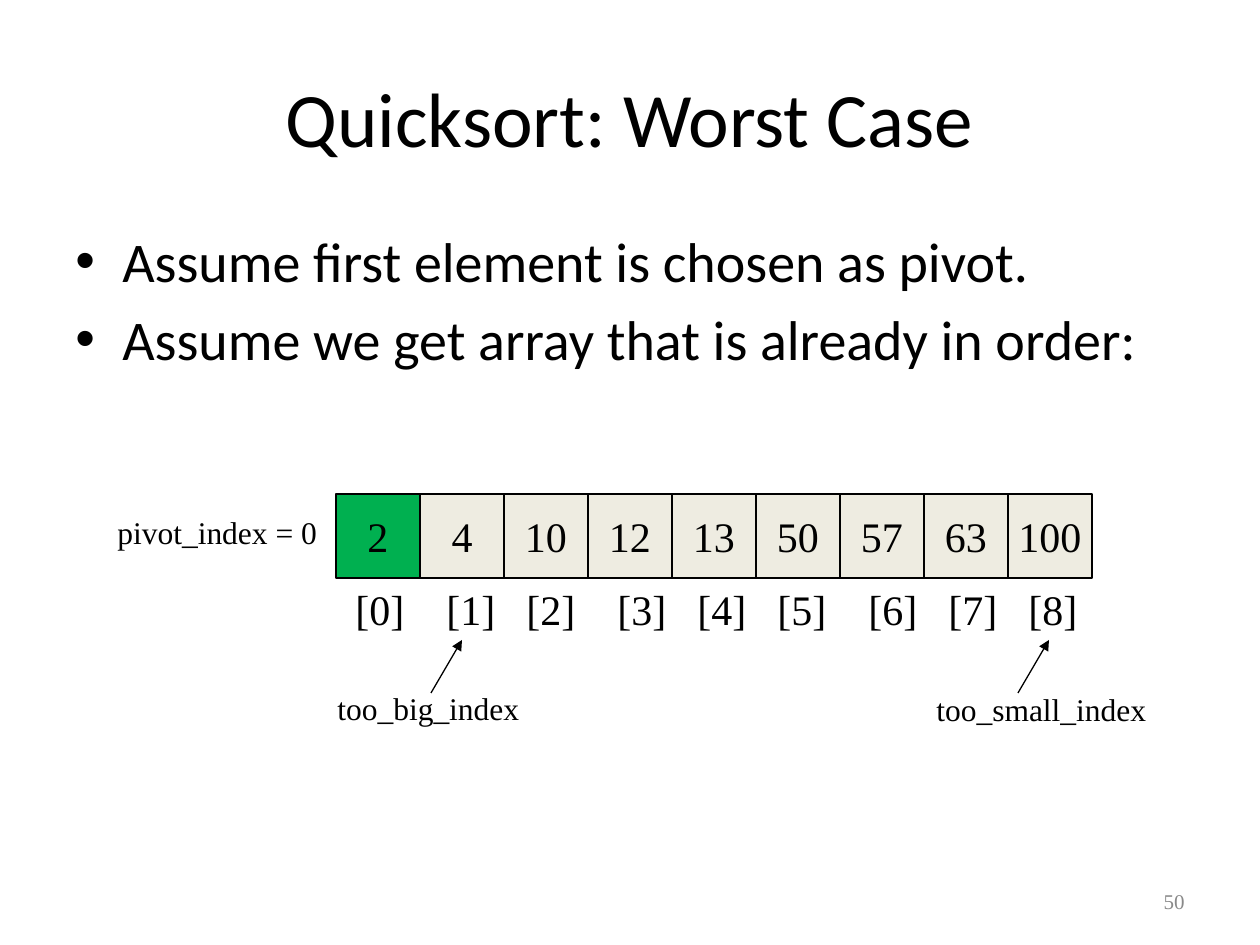
"""Build the slide on the worst case of quicksort."""
import pptx
import pptx.util
import pptx.dml.color
import pptx.enum.shapes
import pptx.enum.text
import pptx.oxml.ns
import lxml.etree

PX = 914400 // 126
COLORS = {"black": "000000", "pivot": "00B050", "cell": "EEECE1", "number": "898989"}
ALIGN = pptx.enum.text.PP_ALIGN
ANCHOR = pptx.enum.text.MSO_ANCHOR
SERIF = "Times New Roman"
qn = pptx.oxml.ns.qn


def rgb(name):
    return pptx.dml.color.RGBColor.from_string(COLORS[name])


def put_text(sp, lines, size, font=SERIF, color="black", align=ALIGN.LEFT, anchor=ANCHOR.TOP, wrap=True):
    tf = sp.text_frame
    tf.word_wrap = wrap
    tf.vertical_anchor = anchor
    tf.text = "\n".join(lines)
    for p in tf.paragraphs:
        p.alignment = align
        p.font.size = pptx.util.Pt(size)
        p.font.name = font
        p.font.color.rgb = rgb(color)
    return tf.paragraphs


prs = pptx.Presentation()
prs.slide_width, prs.slide_height = 1260 * PX, 945 * PX
s = prs.slides.add_slide(prs.slide_layouts[6])

sp = s.shapes.add_textbox(63 * PX, 38 * PX, 1134 * PX, 157 * PX)
put_text(sp, ["Quicksort: Worst Case"], 44, "Calibri", align=ALIGN.CENTER, anchor=ANCHOR.MIDDLE)

sp = s.shapes.add_textbox(63 * PX, 220 * PX, 1134 * PX, 624 * PX)
bullets = ["Assume first element is chosen as pivot.", "Assume we get array that is already in order:"]
for p in put_text(sp, bullets, 32, "Calibri"):
    p.space_before = pptx.util.Pt(6.4)
    pPr = p._p.get_or_add_pPr()
    pPr.set("marL", str(47 * PX))
    pPr.set("indent", str(-47 * PX))
    font = lxml.etree.Element(qn("a:buFont"), typeface="Arial")
    char = lxml.etree.Element(qn("a:buChar"), char="•")
    pPr.find(qn("a:spcBef")).addnext(font)
    font.addnext(char)

values = [2, 4, 10, 12, 13, 50, 57, 63, 100]
cell = 84
for i, value in enumerate(values):
    sp = s.shapes.add_shape(
        pptx.enum.shapes.MSO_SHAPE.RECTANGLE, (336 + i * cell) * PX, 494 * PX, cell * PX, cell * PX)
    sp.shadow.inherit = False
    sp.fill.solid()
    sp.fill.fore_color.rgb = rgb("cell" if i else "pivot")
    sp.line.color.rgb = rgb("black")
    sp.line.width = pptx.util.Pt(0.75)
    put_text(sp, [str(value)], 24, align=ALIGN.CENTER, anchor=ANCHOR.MIDDLE, wrap=False)

sp = s.shapes.add_textbox(343 * PX, 577 * PX, 750 * PX, 63 * PX)
p = put_text(sp, ["\t".join(f"[{i}]" for i in range(len(values)))], 24)[0]
tabs = lxml.etree.Element(qn("a:tabLst"))
stop = 0
for i in range(1, len(values)):
    stop += 91 if i in (1, 3, 6) else 80
    lxml.etree.SubElement(tabs, qn("a:tab"), pos=str(stop * PX), algn="l")
p._p.get_or_add_pPr().find(qn("a:defRPr")).addprevious(tabs)

for text, x, y, w in [
    ("pivot_index = 0", 105, 507, 225),
    ("too_big_index", 325, 683, 400),
    ("too_small_index", 924, 684, 294),
]:
    sp = s.shapes.add_textbox(x * PX, y * PX, w * PX, 51 * PX)
    put_text(sp, [text], 18, wrap=w > 225)

for x in (1018, 431):
    line = s.shapes.add_connector(
        pptx.enum.shapes.MSO_CONNECTOR.STRAIGHT, x * PX, 693 * PX, (x + 31) * PX, 640 * PX)
    line.line.color.rgb = rgb("black")
    line.line.width = pptx.util.Pt(0.75)
    lxml.etree.SubElement(line.line._get_or_add_ln(), qn("a:tailEnd"), type="triangle")
    lxml.etree.SubElement(line._element.spPr, qn("a:effectLst"))

sp = s.shapes.add_textbox(903 * PX, 876 * PX, 294 * PX, 50 * PX)
put_text(sp, ["50"], 12, color="number", align=ALIGN.RIGHT, anchor=ANCHOR.MIDDLE)

prs.save("out.pptx")
